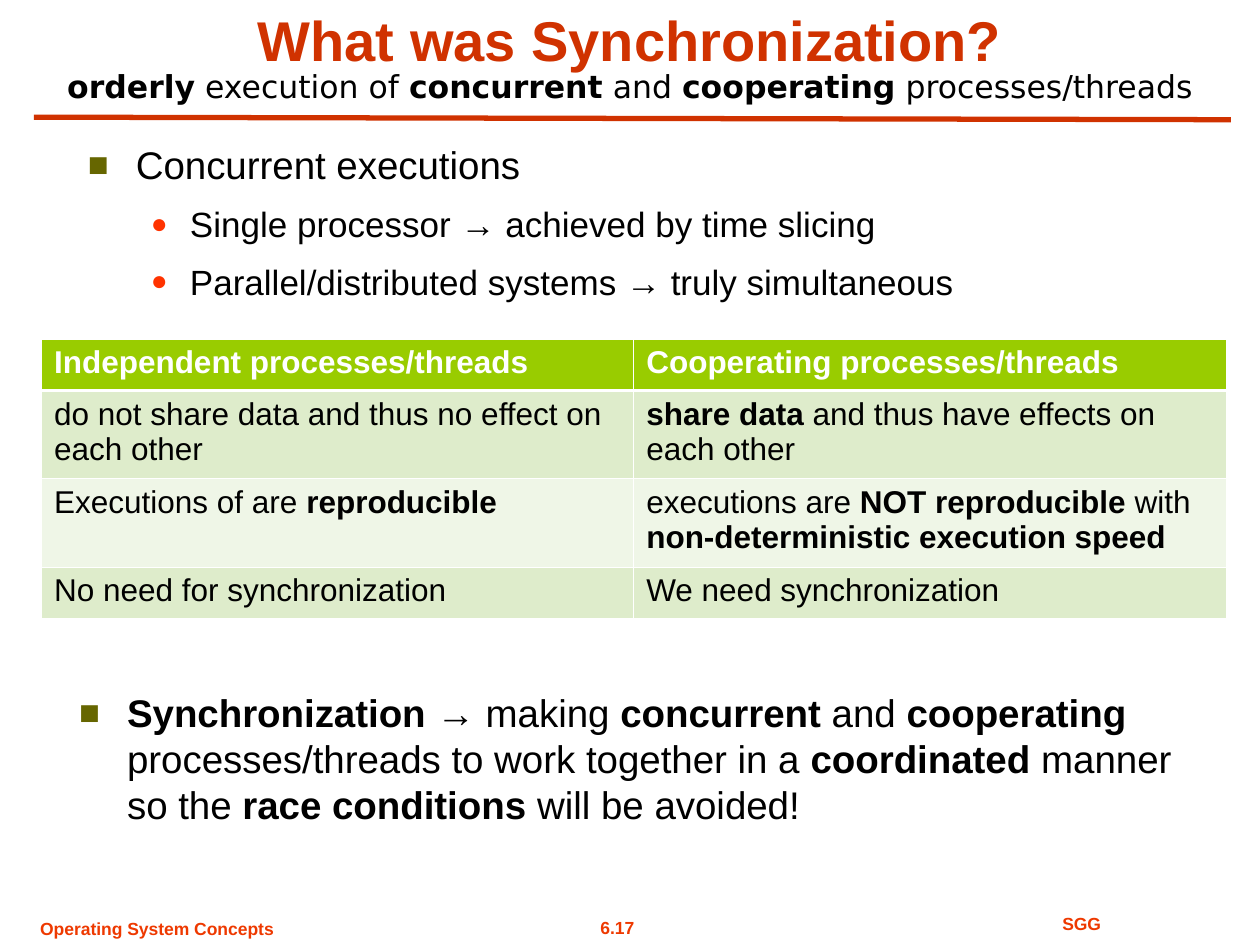
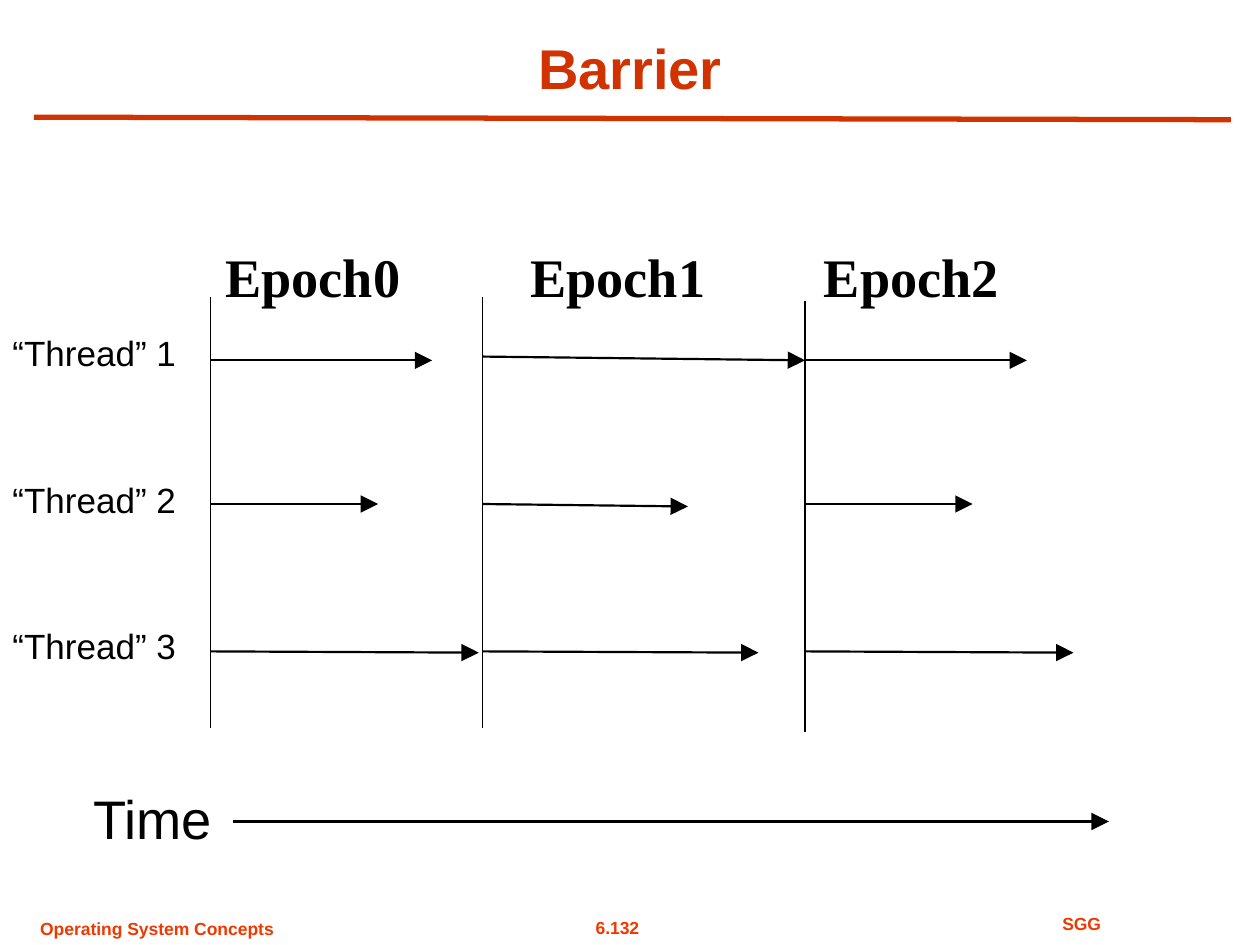
from lxml import etree
from pptx import Presentation
from pptx import util as u
from pptx.dml.color import RGBColor
from pptx.enum import shapes, text
from pptx.oxml.ns import qn

COLOURS = {
    "title": "D03200", "footer": "EE3900", "ink": "000000", "white": "FFFFFF",
    "square": "666600", "dot": "FF3300",
    "header": "99CC00", "band_dark": "DEECCB", "band_light": "EFF6E7",
}
CENTER, LEFT = text.PP_ALIGN.CENTER, text.PP_ALIGN.LEFT


def write(para, words, size, colour="ink", font="Arial", align=LEFT):
    """Fill a paragraph with runs; words between asterisks are bold."""
    para.alignment = align
    for index, part in enumerate(words.split("*")):
        if part:
            span = para.add_run()
            span.text = part
            span.font.size = u.Pt(size)
            span.font.name = font
            span.font.bold = index % 2 == 1
            span.font.color.rgb = RGBColor.from_string(COLOURS[colour])


def add_box(page, place, wrap=True, side=0.1):
    """Add an empty text box and return its text frame."""
    frame = page.shapes.add_textbox(*map(u.Inches, place)).text_frame
    frame.word_wrap = wrap
    frame.margin_left = frame.margin_right = u.Inches(side)
    return frame


deck = Presentation()
deck.slide_width, deck.slide_height = u.Inches(10), u.Inches(7.5)
lines = []  # page, start, end, colour, width, has arrowhead

# Titles, title rules and footers
pages = []
for heading, top, number in [("What was Synchronization?", 0, "6.17"),
                             ("Barrier", 0.22, "6.132")]:
    page = deck.slides.add_slide(deck.slide_layouts[5])
    pages.append(page)
    title = page.shapes.title
    title.left, title.top = u.Inches(0.5), u.Inches(top)
    title.width, title.height = u.Inches(9), u.Inches(0.63)
    frame = title.text_frame
    frame.word_wrap = True
    frame.auto_size = text.MSO_AUTO_SIZE.NONE
    frame.vertical_anchor = text.MSO_ANCHOR.BOTTOM
    write(frame.paragraphs[0], f"*{heading}*", 32, "title", align=CENTER)
    for words, place, wrap, align in [
        (number, (4.41, 7.23, 0.98, 0.27), False, CENTER),
        ("SGG", (7.1, 7.2, 2.97, 0.27), True, CENTER),
        ("Operating System Concepts", (0.22, 7.24, 2.05, 0.27), False, LEFT),
    ]:
        frame = add_box(page, place, wrap)
        write(frame.paragraphs[0], f"*{words}*", 10, "footer", align=align)
    lines.append((page, (0.27, 0.93), (9.77, 0.95), "title", 3, False))
sync_page, barrier_page = pages

# Slide 1: subtitle, bullets and comparison table
frame = add_box(sync_page, (0, 0.48, 10, 0.4))
write(frame.paragraphs[0],
      "*orderly* execution of *concurrent* and *cooperating* processes/threads",
      18, font="DejaVu Sans", align=CENTER)

# character, colour, size in percent, indent, hanging, text size, space before
LEVELS = [("■", "square", 90, 0.38, 0.38, 22, 9.6),
          ("●", "dot", 80, 0.81, 0.31, 20, 8.8)]
bullet_boxes = [
    ((0.6, 1.07, 8.76, 1.38), [
        (0, "Concurrent executions"),
        (1, "Single processor → achieved by time slicing"),
        (1, "Parallel/distributed systems → truly simultaneous"),
    ]),
    ((0.53, 5.42, 9.05, 1.44), [
        (0, "*Synchronization *→ making *concurrent* and *cooperating* "
            "processes/threads to work together in a *coordinated* manner "
            "so the *race conditions *will be avoided!"),
    ]),
]
for place, items in bullet_boxes:
    frame = add_box(sync_page, place)
    for index, (level, words) in enumerate(items):
        char, colour, percent, indent, hanging, size, gap = LEVELS[level]
        para = frame.add_paragraph() if index else frame.paragraphs[0]
        para.level = level
        if index:
            para.space_before = u.Pt(gap)
        props = para._p.get_or_add_pPr()
        props.set("marL", str(u.Inches(indent)))
        props.set("indent", str(-u.Inches(hanging)))
        bullet_colour = etree.SubElement(props, qn("a:buClr"))
        etree.SubElement(bullet_colour, qn("a:srgbClr"), val=COLOURS[colour])
        etree.SubElement(props, qn("a:buSzPct"), val=str(percent * 1000))
        etree.SubElement(props, qn("a:buFont"), typeface="Arial")
        etree.SubElement(props, qn("a:buChar"), char=char)
        write(para, words, size)

comparison = [
    ("*Independent processes/threads*", "*Cooperating processes/threads*"),
    ("do not share data and thus no effect on each other",
     "*share data *and thus have effects on each other"),
    ("Executions of are *reproducible*",
     "executions are *NOT reproducible* with *non-deterministic execution speed*"),
    ("No need for synchronization", "We need synchronization"),
]
fills = ["header", "band_dark", "band_light", "band_dark"]
table = sync_page.shapes.add_table(
    4, 2, *map(u.Inches, (0.33, 2.69, 9.4, 2.22))).table
table.horz_banding = False
for column in table.columns:
    column.width = u.Inches(4.7)
for row_index, (row, height) in enumerate(zip(table.rows, (0.41, 0.7, 0.7, 0.41))):
    row.height = u.Inches(height)
    for cell, words in zip(row.cells, comparison[row_index]):
        props = cell._tc.get_or_add_tcPr()
        for side in "LRTB":
            heavy = (row_index, side) in [(0, "B"), (1, "T")]
            border = etree.SubElement(props, qn(f"a:ln{side}"),
                                      w=str(u.Pt(1.47 if heavy else 0.45)))
            paint = etree.SubElement(border, qn("a:solidFill"))
            etree.SubElement(paint, qn("a:srgbClr"), val=COLOURS["white"])
        cell.fill.solid()
        cell.fill.fore_color.rgb = RGBColor.from_string(COLOURS[fills[row_index]])
        write(cell.text_frame.paragraphs[0], words, 18,
              "ink" if row_index else "white")

# Slide 2: barriers, thread arrows and time axis
for thread in range(3):
    frame = add_box(barrier_page, (0, 2.58 + 1.165 * thread, 2, 0.43))
    write(frame.paragraphs[0], f"“Thread” {thread + 1}", 20)

# barrier x, barrier top, label left, (start y, end x, end y) of each thread
epochs = [
    (1.67, 2.36, 1.68, [(2.86, 3.43, 2.86), (4, 3, 4), (5.17, 3.8, 5.18)]),
    (3.83, 2.36, 4.1, [(2.83, 6.39, 2.86), (4, 5.46, 4.02), (5.17, 6.02, 5.18)]),
    (6.39, 2.39, 6.43, [(2.86, 8.15, 2.86), (4, 7.72, 4), (5.17, 8.52, 5.18)]),
]
for number, (x, top, label_left, arrows) in enumerate(epochs):
    frame = add_box(barrier_page, (label_left, 1.88, 1.8, 0.63), False, 0.11)
    write(frame.paragraphs[0], f"*Epoch{number}*", 31, font="Times New Roman")
    lines.append((barrier_page, (x, top), (x, top + 3.42), "ink", 1, False))
    for start_y, end_x, end_y in arrows:
        lines.append((barrier_page, (x, start_y), (end_x, end_y), "ink", 1.25, True))

frame = add_box(barrier_page, (0.65, 6.18, 2, 0.61), side=0.09)
write(frame.paragraphs[0], "Time", 31)
lines.append((barrier_page, (1.85, 6.52), (8.8, 6.52), "ink", 1.25, True))

# Lines and arrows of both slides
for page, start, end, colour, width, has_head in lines:
    line = page.shapes.add_connector(
        shapes.MSO_CONNECTOR.STRAIGHT, *map(u.Inches, start + end))
    line.line.color.rgb = RGBColor.from_string(COLOURS[colour])
    line.line.width = u.Pt(width)
    props = line._element.spPr
    if has_head:
        etree.SubElement(props.find(qn("a:ln")), qn("a:tailEnd"),
                         type="triangle", w="lg", len="lg")
    etree.SubElement(props, qn("a:effectLst"))

deck.save("out.pptx")
